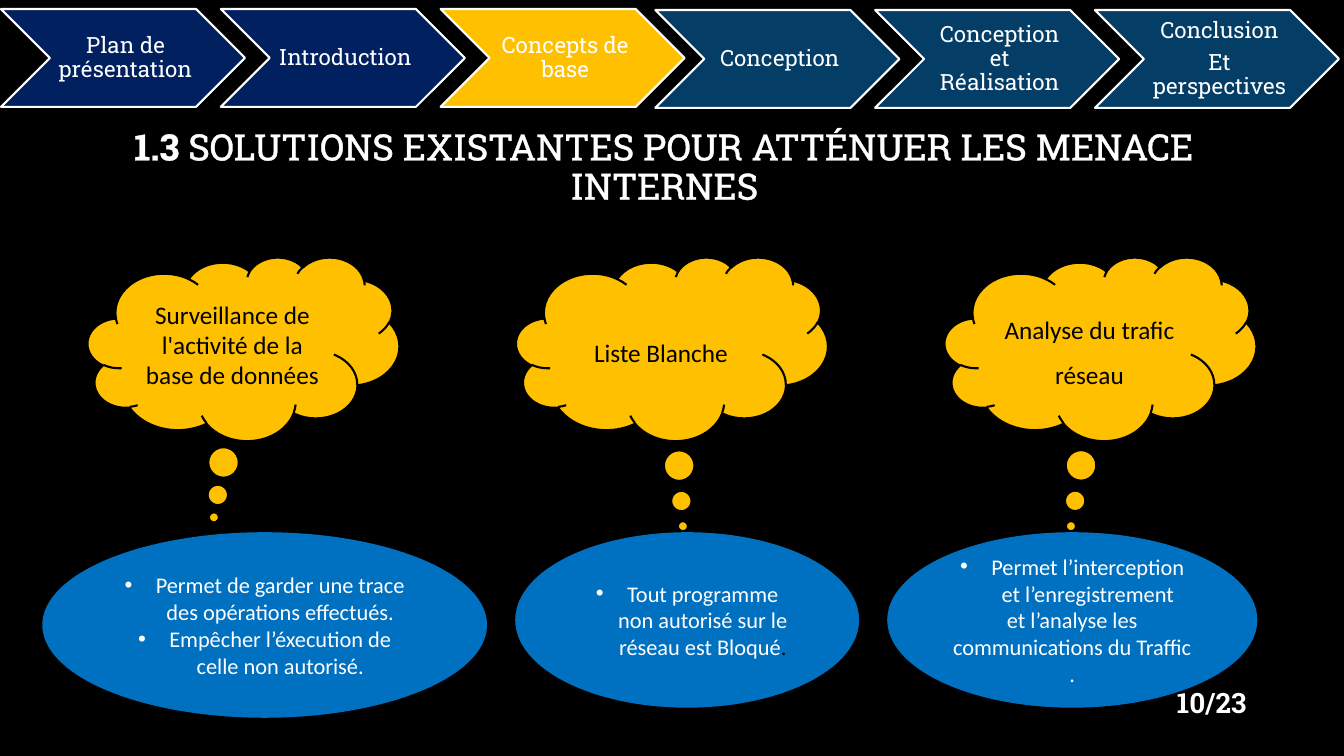
from lxml import etree
from pptx import Presentation
from pptx.dml.color import RGBColor
from pptx.enum.shapes import MSO_SHAPE
from pptx.enum.text import MSO_ANCHOR, PP_ALIGN
from pptx.oxml.ns import qn
from pptx.util import Inches, Pt

BLACK = RGBColor(0x00, 0x00, 0x00)
WHITE = RGBColor(0xFF, 0xFF, 0xFF)
NAVY = RGBColor(0x00, 0x20, 0x60)
TEAL = RGBColor(0x04, 0x3D, 0x66)
GOLD = RGBColor(0xFF, 0xC0, 0x00)
BLUE = RGBColor(0x00, 0x70, 0xC0)
TITLE_OUTLINE = RGBColor(0xFC, 0xFC, 0xFD)
SLAB, BODY = "Roboto Slab", "Calibri"

CHEVRON_PITCH = 2.18
CLOUD_PITCH = 4.25
STEP_GROUPS = [
    (0.01, 0.09, [(["Plan de présentation"], NAVY), (["Introduction"], NAVY),
                  (["Concepts de base"], GOLD)]),
    (6.5, 0.1, [(["Conception"], TEAL), (["Conception et Réalisation"], TEAL),
                (["Conclusion", "Et perspectives"], TEAL)]),
]
CLOUDS = [
    ("Surveillance de l'activité de la base de données", (-0.095, 0.919), 1.0),
    ("Liste Blanche", (0.035, 0.967), 1.5),
    ("Analyse du trafic réseau", (-0.095, 0.967), 1.5),
]


def add_run(paragraph, text, size, font, color, bold=False):
    """Append a formatted run and return it."""
    run = paragraph.add_run()
    run.text = text
    run.font.size = Pt(size)
    run.font.name = font
    run.font.bold = bold
    run.font.color.rgb = color
    return run


def add_paragraph(frame, align=PP_ALIGN.CENTER, spacing=1.0, after=0):
    """Return the next free paragraph of a text frame, formatted."""
    first = frame.paragraphs[0]
    paragraph = frame.add_paragraph() if first.runs else first
    paragraph.alignment = align
    paragraph.line_spacing = spacing
    paragraph.space_after = Pt(after)
    return paragraph


def prepare_frame(shape):
    """Make a shape's text wrap around its vertical middle."""
    frame = shape.text_frame
    frame.word_wrap = True
    frame.vertical_anchor = MSO_ANCHOR.MIDDLE
    return frame


def add_box(slide, left, top, width, height):
    """Add a text box and return its text frame."""
    return prepare_frame(slide.shapes.add_textbox(
        Inches(left), Inches(top), Inches(width), Inches(height)))


def add_figure(slide, kind, left, top, width, height, fill, line):
    """Add a filled, outlined preset shape."""
    shape = slide.shapes.add_shape(
        kind, Inches(left), Inches(top), Inches(width), Inches(height))
    shape.shadow.inherit = False
    shape.fill.solid()
    shape.fill.fore_color.rgb = fill
    shape.line.color.rgb = line
    shape.line.width = Pt(1.5)
    prepare_frame(shape)
    return shape


def outline_run(run, color, width):
    """Draw an outline around the letters of a run."""
    line = etree.Element(qn("a:ln"), w=str(Pt(width)))
    fill = etree.SubElement(line, qn("a:solidFill"))
    etree.SubElement(fill, qn("a:srgbClr"), val=str(color))
    run.font._element.insert(0, line)


def set_bullet(paragraph):
    """Give a paragraph a hanging round bullet."""
    properties = paragraph._p.get_or_add_pPr()
    properties.set("marL", str(Inches(0.31)))
    properties.set("indent", str(-Inches(0.31)))
    etree.SubElement(properties, qn("a:buFont"), typeface="Arial")
    etree.SubElement(properties, qn("a:buChar"), char="•")


def add_title(slide):
    """Add the numbered slide title."""
    frame = add_box(slide, 0.43, 1.43, 12.32, 0.92)
    frame.margin_bottom = Inches(0.49)
    paragraph = add_paragraph(frame, spacing=0.9)
    title = "SOLUTIONS EXISTANTES POUR ATTÉNUER LES MENACE INTERNES"
    for text, bold in (("1.3 ", True), (title, False)):
        run = add_run(paragraph, text, 26, SLAB, WHITE, bold)
        outline_run(run, TITLE_OUTLINE, 1.4)


def add_step(slide, left, top, lines, fill):
    """Add one chevron of the progress bar."""
    shape = add_figure(slide, MSO_SHAPE.CHEVRON, left, top, 2.42, 0.97, fill, WHITE)
    frame = shape.text_frame
    frame.margin_left = Inches(0.07)
    frame.margin_right = frame.margin_top = frame.margin_bottom = Inches(0.02)
    for text in lines:
        add_run(add_paragraph(frame, spacing=0.9, after=5.6), text, 16, SLAB, WHITE)


def add_cloud(slide, left, text, tail, spacing):
    """Add a thought cloud naming a solution."""
    shape = add_figure(slide, MSO_SHAPE.CLOUD_CALLOUT, left, 2.55, 3.09, 1.82, GOLD, BLACK)
    for index, value in enumerate(tail):
        shape.adjustments[index] = value
    paragraph = add_paragraph(shape.text_frame, spacing=spacing, after=10)
    add_run(paragraph, text, 18, BODY, BLACK)


def add_ellipse(slide, left, width, height, bullets):
    """Add an ellipse with bulleted text and return its text frame."""
    frame = add_figure(slide, MSO_SHAPE.OVAL, left, 5.29, width, height, BLUE, BLUE).text_frame
    for text in bullets:
        paragraph = add_paragraph(frame)
        set_bullet(paragraph)
        add_run(paragraph, text, 16, BODY, WHITE)
    return frame


def add_effects(slide):
    """Add the three ellipses describing what each solution does."""
    add_ellipse(slide, 0.43, 4.39, 1.82, [
        "Permet de garder une trace des opérations effectués.",
        "Empêcher l’éxecution de celle non autorisé."])
    allowlist = add_ellipse(slide, 5.12, 3.39, 1.72, [
        "Tout programme non autorisé sur le réseau est Bloqué"])
    add_run(allowlist.paragraphs[0], ".", 16, BODY, BLACK)
    traffic = add_ellipse(slide, 8.81, 3.65, 1.72, [
        "Permet l’interception et l’enregistrement"])
    add_run(add_paragraph(traffic), "et l’analyse les communications du Traffic .",
            16, BODY, WHITE)


def main():
    """Build and save the slide."""
    deck = Presentation()
    deck.slide_width, deck.slide_height = Inches(13.33), Inches(7.5)
    slide = deck.slides.add_slide(deck.slide_layouts[6])
    slide.background.fill.solid()
    slide.background.fill.fore_color.rgb = BLACK
    add_title(slide)
    for left, top, steps in STEP_GROUPS:
        for index, (lines, fill) in enumerate(steps):
            add_step(slide, left + index * CHEVRON_PITCH, top, lines, fill)
    page_number = add_paragraph(add_box(slide, 11.49, 6.71, 0.97, 0.51), PP_ALIGN.RIGHT)
    add_run(page_number, "10/23", 20, SLAB, WHITE, True)
    for index, (text, tail, spacing) in enumerate(CLOUDS):
        add_cloud(slide, 0.87 + index * CLOUD_PITCH, text, tail, spacing)
    add_effects(slide)
    deck.save("out.pptx")


main()
